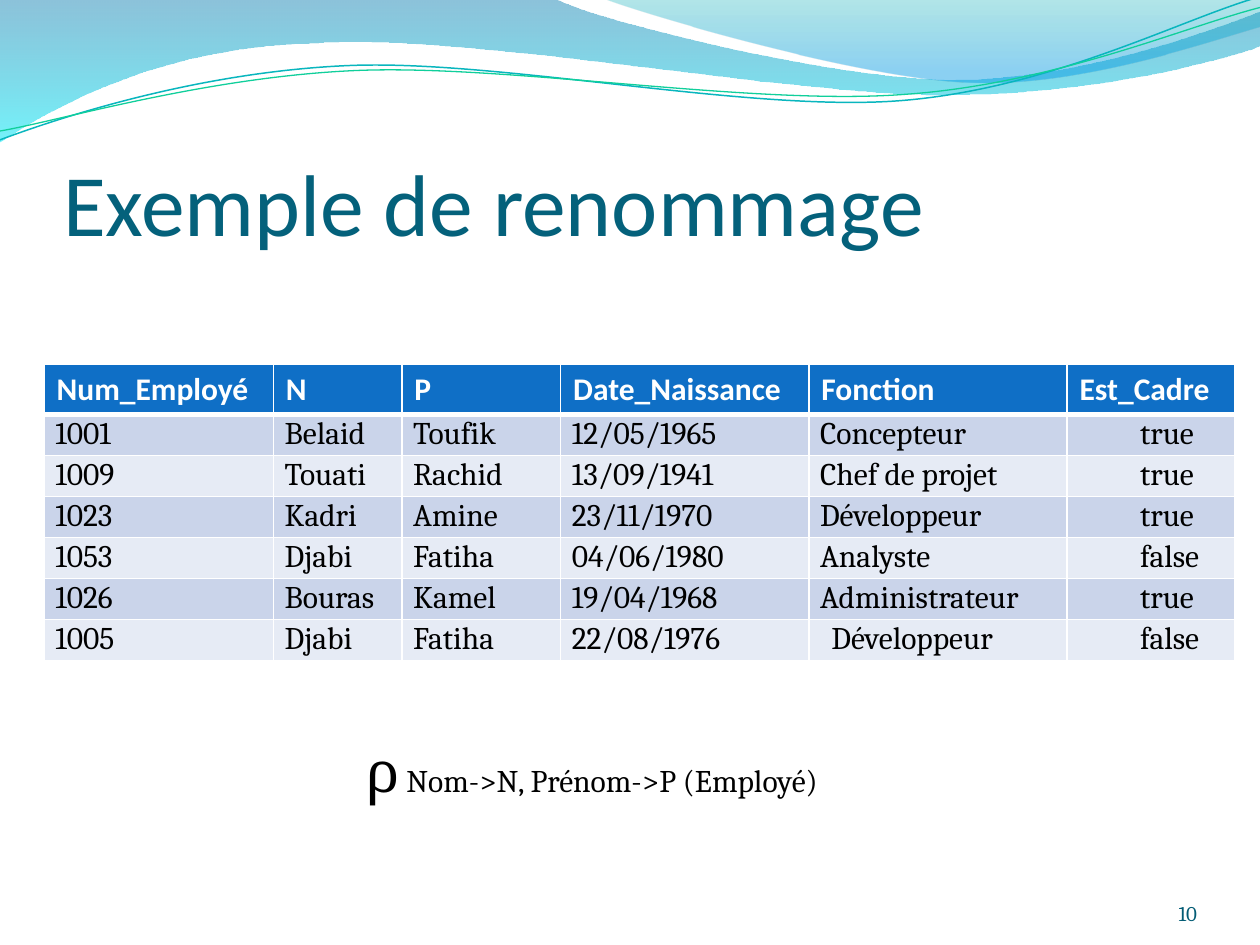
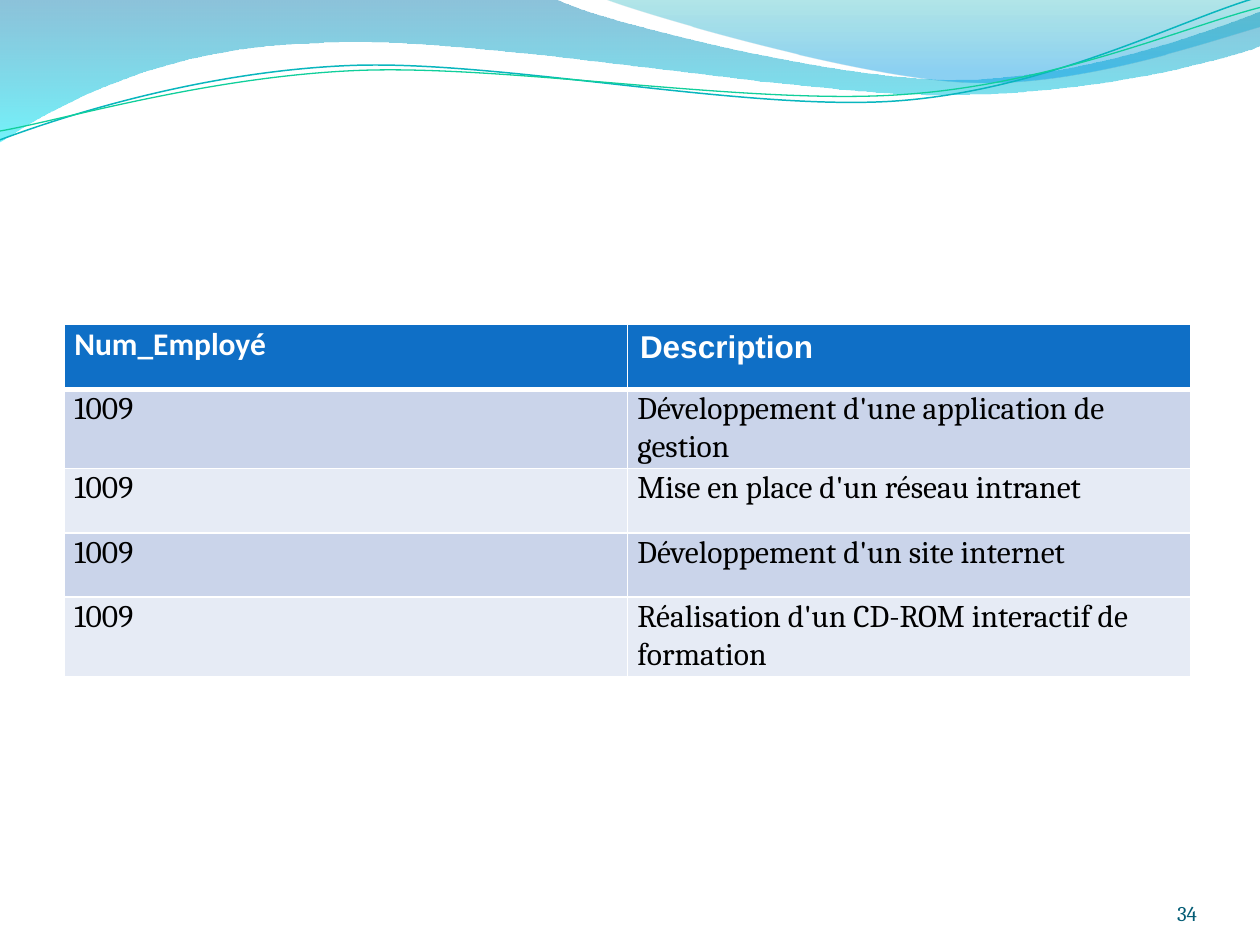
import math
from collections import namedtuple

from lxml import etree
from pptx import Presentation
from pptx.dml.color import RGBColor
from pptx.enum import text
from pptx.oxml import parse_xml
from pptx.oxml.ns import qn
from pptx.util import Inches, Pt

COLORS = {
    "title": "04617B", "page": "035C75", "ink": "000000", "white": "FFFFFF",
    "header": "0F6FC6", "odd": "CAD4EA", "even": "E6EBF5",
    "wave_line": "09B6BE", "wave_line_2": "10CF9B",
}
DRAWING_NS = "http://schemas.openxmlformats.org/drawingml/2006/main"

# Wave outlines in inches: a start point, then segments of one point (line)
# or three points (cubic curve)
LEFT_WAVE = [
    (0, 0), [(4.4, -0.01)],
    [(4.76, 0.17), (6.64, 0.63), (7.58, 0.63)],
    [(8.53, 0.63), (9.58, 0.26), (10, 0.09)],
    [(10.01, 0.36)],
    [(9.83, 0.44), (8.7, 0.76), (7.46, 0.75)],
    [(6.22, 0.75), (3.82, 0.28), (2.57, 0.34)],
    [(1.29, 0.36), (0.46, 0.83), (-0.01, 1.13)],
    [(0, 0)],
]
RIGHT_WAVE = [
    (4.79, -0.01),
    [(5.09, 0.11), (6.82, 0.62), (7.69, 0.65)],
    [(8.56, 0.69), (9.61, 0.32), (10, 0.21)],
    [(10, 0)],
    [(4.79, -0.01)],
]
UPPER_LINE = [
    (0, 1.11),
    [(0.48, 0.93), (1.58, 0.57), (2.77, 0.52)],
    [(3.95, 0.47), (5.93, 0.89), (7.13, 0.8)],
    [(8.33, 0.71), (9.38, 0.15), (9.98, -0.02)],
]
LOWER_LINE = [
    (0, 1.04),
    [(0.47, 0.96), (1.64, 0.61), (2.83, 0.56)],
    [(4.03, 0.51), (5.97, 0.84), (7.17, 0.75)],
    [(8.36, 0.67), (9.41, 0.21), (10, 0.06)],
]
LINE_TURN = 357.3
# Gradient stops: position %, colour, opacity %
LEFT_STOPS = [(0, "0079AD", 45), (100, "00E9F7", 55)]
RIGHT_STOPS = [(0, "00ABB4", 30), (80, "0099E4", 45), (100, "0099E4", 45)]

# Cell styles: insets are (sides, top and bottom)
CellStyle = namedtuple("CellStyle", "font color bold insets spacing")
HEADER = CellStyle("Calibri", "white", True, (0.1, 0.05), 1)
HEADER_TIGHT = HEADER._replace(insets=(0.08, 0), spacing=1.05)
HEADER_ARIAL = HEADER._replace(font="Arial")
BODY = CellStyle("Cambria", "ink", False, (0.08, 0), 1.05)
FRAME_SIDE = 3.28

EMPLOYEES = [
    ("Num_Employé", "N", "P", "Date_Naissance", "Fonction", "Est_Cadre"),
    ("1001", "Belaid", "Toufik", "12/05/1965", "Concepteur", "true"),
    ("1009", "Touati", "Rachid", "13/09/1941", "Chef de projet", "true"),
    ("1023", "Kadri", "Amine", "23/11/1970", "Développeur", "true"),
    ("1053", "Djabi", "Fatiha", "04/06/1980", "Analyste", "false"),
    ("1026", "Bouras", "Kamel", "19/04/1968", "Administrateur", "true"),
    ("1005", "Djabi", "Fatiha", "22/08/1976", "Développeur", "false"),
]
PROJECTS = [
    ("Num_Employé", "Description"),
    ("1009", "Développement d'une application de gestion"),
    ("1009", "Mise en place d'un réseau intranet"),
    ("1009", "Développement d'un site internet"),
    ("1009", "Réalisation d'un CD-ROM interactif de formation"),
]


def rgb(name):
    return RGBColor.from_string(COLORS[name])


def add_run(paragraph, words, size, font, color, bold=False):
    run = paragraph.add_run()
    run.text = words
    run.font.size = Pt(size)
    run.font.name = font
    run.font.bold = bold
    run.font.color.rgb = rgb(color)


def set_insets(frame, left, top, right, bottom):
    frame.margin_left, frame.margin_top = Inches(left), Inches(top)
    frame.margin_right, frame.margin_bottom = Inches(right), Inches(bottom)


# Waves shared by all slides
def turn_point(point, center, degrees):
    angle = math.radians(degrees)
    dx, dy = point[0] - center[0], point[1] - center[1]
    return (center[0] + dx * math.cos(angle) - dy * math.sin(angle),
            center[1] + dx * math.sin(angle) + dy * math.cos(angle))


def turn_outline(outline, center, degrees):
    start, *segments = outline
    return [turn_point(start, center, degrees),
            *([turn_point(p, center, degrees) for p in s] for s in segments)]


def add_outline(slide, outline, close):
    """Build the outline point by point, then bend each triple into a curve."""
    start, *segments = outline
    points = [(Inches(x), Inches(y)) for segment in segments for x, y in segment]
    builder = slide.shapes.build_freeform(Inches(start[0]), Inches(start[1]))
    builder.add_line_segments(points, close=close)
    shape = builder.convert_to_shape()
    shape.shadow.inherit = False
    steps = iter(list(shape.element.iter(qn("a:lnTo"))))
    for segment in segments:
        first, *others = [next(steps) for _ in segment]
        if others:
            first.tag = qn("a:cubicBezTo")
            for step in others:
                first.append(step[0])
                step.getparent().remove(step)
    return shape


def add_wave_fill(slide, outline, stops):
    wave = add_outline(slide, outline, True)
    wave.line.fill.background()
    stop_xml = "".join(
        f'<a:gs pos="{place * 1000}"><a:srgbClr val="{color}">'
        f'<a:alpha val="{opacity * 1000}"/></a:srgbClr></a:gs>'
        for place, color, opacity in stops)
    gradient = parse_xml(f'<a:gradFill xmlns:a="{DRAWING_NS}" rotWithShape="1"><a:gsLst>{stop_xml}'
                         '</a:gsLst><a:lin ang="5400000" scaled="0"/></a:gradFill>')
    wave.element.spPr.find(qn("a:custGeom")).addnext(gradient)
    return wave


def add_wave_line(slide, outline, center, color, width):
    """Lay the line out level about its center, then tilt the shape."""
    wave = add_outline(slide, turn_outline(outline, center, -LINE_TURN), False)
    wave.rotation = LINE_TURN
    wave.fill.background()
    wave.line.color.rgb = rgb(color)
    wave.line.width = Pt(width)
    return wave


def decorate_master(master, slide):
    """Draw the waves on a slide and move them to the back of the master."""
    waves = [
        add_wave_fill(slide, LEFT_WAVE, LEFT_STOPS),
        add_wave_fill(slide, RIGHT_WAVE, RIGHT_STOPS),
        add_wave_line(slide, UPPER_LINE, (4.99, 0.58), "wave_line", 0.85),
        add_wave_line(slide, LOWER_LINE, (5, 0.59), "wave_line_2", 0.75),
    ]
    for place, wave in enumerate(waves, start=2):
        master.shapes.element.insert(place, wave.element)


# Title, page number and formula
def set_title(slide, words):
    title = slide.shapes.title
    title.left, title.top = Inches(0.5), Inches(0.77)
    title.width, title.height = Inches(9), Inches(1.25)
    frame = title.text_frame
    frame.auto_size = text.MSO_AUTO_SIZE.NONE
    frame.vertical_anchor = text.MSO_ANCHOR.BOTTOM
    set_insets(frame, 0, 0.05, 0, 0)
    frame.paragraphs[0].alignment = text.PP_ALIGN.LEFT
    add_run(frame.paragraphs[0], words, 50, "Calibri", "title")


def add_text_frame(slide, left, top, width, height):
    box = slide.shapes.add_textbox(Inches(left), Inches(top), Inches(width), Inches(height))
    box.text_frame.word_wrap = True
    return box.text_frame


def add_page_number(slide, number):
    frame = add_text_frame(slide, 8.67, 6.95, 0.83, 0.4)
    frame.vertical_anchor = text.MSO_ANCHOR.BOTTOM
    set_insets(frame, 0, 0, 0, 0)
    frame.paragraphs[0].alignment = text.PP_ALIGN.RIGHT
    add_run(frame.paragraphs[0], str(number), 12, "Cambria", "page")


def add_formula(slide, symbol, expression):
    frame = add_text_frame(slide, 2.8, 5.8, 4.02, 0.64)
    frame.auto_size = text.MSO_AUTO_SIZE.SHAPE_TO_FIT_TEXT
    add_run(frame.paragraphs[0], symbol, 32, "Cambria", "ink")
    add_run(frame.paragraphs[0], expression, 18, "Cambria", "ink")


# Tables
def set_borders(cell, top, bottom):
    properties = cell._tc.get_or_add_tcPr()
    for side, width in (("L", 1), ("R", 1), ("T", top), ("B", bottom)):
        line = etree.SubElement(properties, qn(f"a:ln{side}"), w=str(Pt(width)))
        fill = etree.SubElement(line, qn("a:solidFill"))
        etree.SubElement(fill, qn("a:srgbClr"), val=COLORS["white"])


def fill_cell(cell, words, style, background, indent):
    cell.fill.solid()
    cell.fill.fore_color.rgb = rgb(background)
    side, edge = style.insets
    set_insets(cell, side, edge, side, edge)
    paragraph = cell.text_frame.paragraphs[0]
    paragraph.line_spacing = style.spacing
    if indent:
        paragraph._p.get_or_add_pPr().set("marL", str(Inches(indent)))
    add_run(paragraph, words, 18, style.font, style.color, style.bold)


def add_data_table(slide, left, top, widths, heights, rows, header_styles, indents):
    """Draw a banded table; indents holds one list per body row."""
    frame = slide.shapes.add_table(len(rows), len(widths), Inches(left), Inches(top),
                                   Inches(sum(widths)), Inches(sum(heights)))
    table = frame.table
    for column, width in zip(table.columns, widths):
        column.width = Inches(width)
    for r, row in enumerate(rows):
        table.rows[r].height = Inches(heights[r])
        for c, words in enumerate(row):
            cell = table.cell(r, c)
            set_borders(cell, top=3 if r == 1 else 1, bottom=3 if r == 0 else 1)
            if r == 0:
                fill_cell(cell, words, header_styles[c], "header", 0)
            else:
                band = "odd" if r % 2 else "even"
                fill_cell(cell, words, BODY, band, indents[r - 1][c])
    frame.width = frame.height = Inches(FRAME_SIDE)


def main():
    deck = Presentation()
    deck.slide_width, deck.slide_height = Inches(10), Inches(7.5)
    title_only, blank = deck.slide_layouts[5], deck.slide_layouts[6]

    # Renaming example
    renaming = deck.slides.add_slide(title_only)
    decorate_master(deck.slide_master, renaming)
    set_title(renaming, "Exemple de renommage")
    add_page_number(renaming, 10)
    indents = [[0.01] * 5 + [0.5] for _ in EMPLOYEES[1:]]
    indents[-1][4] = 0.1
    add_data_table(renaming, 0.35, 2.89, [1.82, 1.02, 1.26, 1.97, 2.05, 1.33],
                   [2.28 / 7] * 7, EMPLOYEES, [HEADER] * 6, indents)
    add_formula(renaming, "ρ", " Nom->N, Prénom->P (Employé)")

    # Projects of one employee
    projects = deck.slides.add_slide(blank)
    add_page_number(projects, 34)
    add_data_table(projects, 0.51, 2.57, [4.47, 4.47], [0.52] + [0.51] * 4, PROJECTS,
                   [HEADER_TIGHT, HEADER_ARIAL], [[0, 0]] * 4)

    deck.save("out.pptx")


if __name__ == "__main__":
    main()
